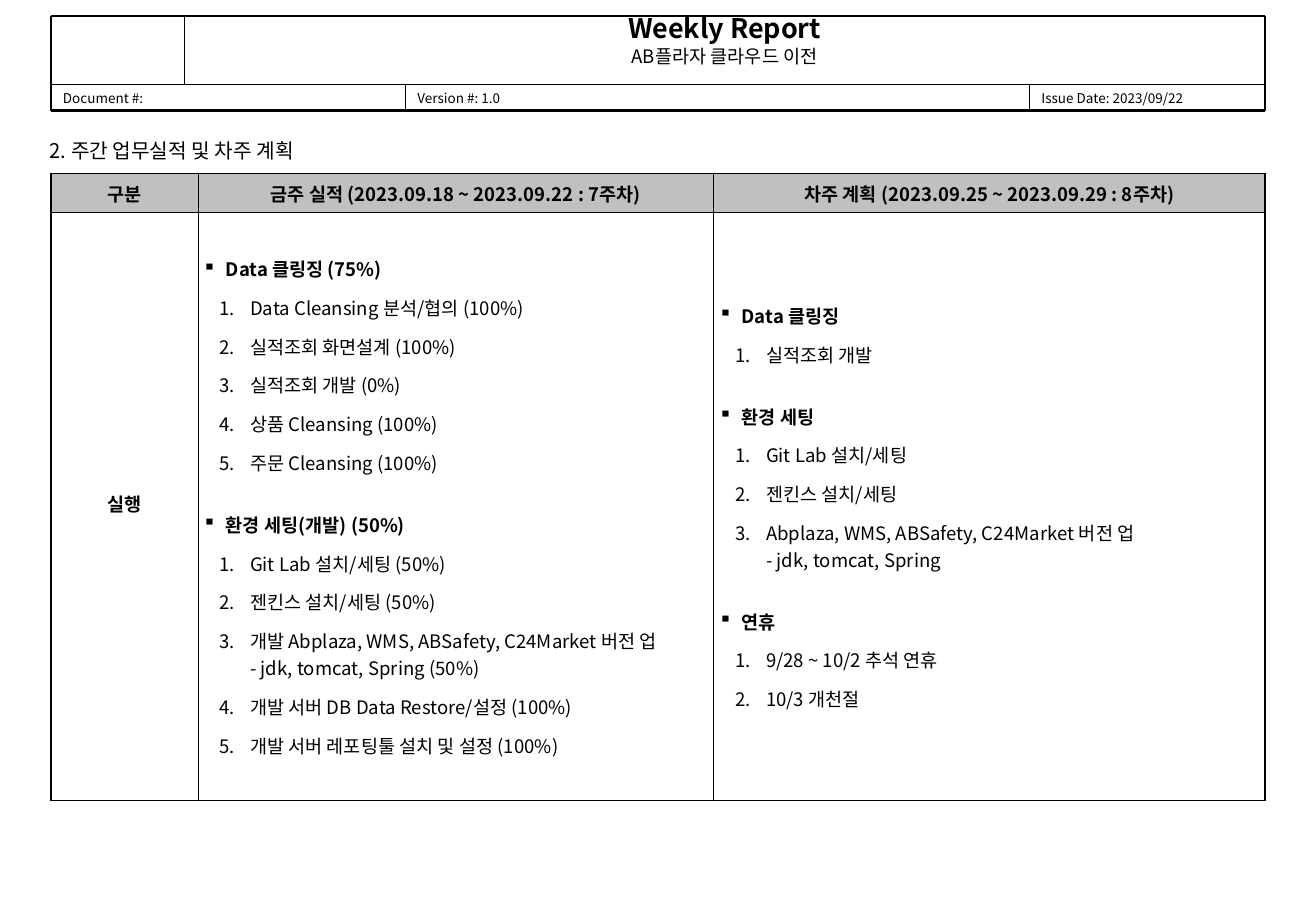
from lxml.etree import SubElement as Sub, Element as Elem
from pptx import Presentation
from pptx.dml.color import RGBColor
from pptx.enum.shapes import MSO_CONNECTOR as Conn
from pptx.enum.text import MSO_ANCHOR as Anchor, MSO_AUTO_SIZE as Auto, PP_ALIGN as Align
from pptx.oxml.ns import qn
from pptx.util import Inches, Pt

FONT = "Noto Sans CJK KR"
BLACK, GREY = "000000", "C0C0C0"
LEFT, TOP, RIGHT = 0.42, 0.13, 10.42
MID, BASE = 0.69, 0.91

HEADS = ["구분", "금주 실적 (2023.09.18 ~ 2023.09.22 : 7주차)",
         "차주 계획 (2023.09.25 ~ 2023.09.29 : 8주차)"]
DONE = [
    ("Data 클링징 (75%)", [
        "Data Cleansing 분석/협의 (100%)", "실적조회 화면설계 (100%)",
        "실적조회 개발 (0%)", "상품 Cleansing (100%)", "주문 Cleansing (100%)"]),
    ("환경 세팅(개발) (50%)", [
        "Git Lab 설치/세팅 (50%)", "젠킨스 설치/세팅 (50%)",
        "개발 Abplaza, WMS, ABSafety, C24Market 버전 업\v- jdk, tomcat, Spring (50%)",
        "개발 서버 DB Data Restore/설정 (100%)",
        "개발 서버 레포팅툴 설치 및 설정 (100%)"]),
]
PLAN = [
    ("Data 클링징", ["실적조회 개발"]),
    ("환경 세팅", [
        "Git Lab 설치/세팅", "젠킨스 설치/세팅",
        "Abplaza, WMS, ABSafety, C24Market 버전 업\v- jdk, tomcat, Spring"]),
    ("연휴", ["9/28 ~ 10/2 추석 연휴", "10/3 개천절"]),
]


def paint(code):
    return RGBColor.from_string(code)


def write(frame, text, size=11, bold=False, align=Align.LEFT, before=0, after=0,
          line=None):
    """Fill the first paragraph if it is free, else add one."""
    para = frame.paragraphs[0]
    if para.runs:
        para = frame.add_paragraph()
    para.text = text
    para.alignment = align
    para.space_before, para.space_after = Pt(before), Pt(after)
    if line:
        para.line_spacing = line
    for run in para.runs:
        font = run.font
        font.size, font.bold, font.name = Pt(size), bold, FONT
        font.color.rgb = paint(BLACK)
        Sub(run._r.get_or_add_rPr(), qn("a:ea"), typeface=FONT)
    for gap in para._p.findall(qn("a:br")):
        Sub(gap, qn("a:rPr"), sz=str(size * 100))
    return para


def setup(frame, x, y, anchor):
    """Set wrapping, insets and anchor of a text frame."""
    frame.word_wrap = True
    frame.auto_size = Auto.NONE
    frame.margin_left = frame.margin_right = Inches(x)
    frame.margin_top = frame.margin_bottom = Inches(y)
    frame.vertical_anchor = anchor
    return frame


def label(slide, x, y, w, h, inset=0, anchor=Anchor.MIDDLE):
    box = slide.shapes.add_textbox(Inches(x), Inches(y), Inches(w), Inches(h))
    return setup(box.text_frame, 0.1, inset, anchor)


def rule(slide, x1, y1, x2, y2, width):
    line = slide.shapes.add_connector(
        Conn.STRAIGHT, Inches(x1), Inches(y1), Inches(x2), Inches(y2))
    line.line.color.rgb = paint(BLACK)
    line.line.width = Pt(width)
    Sub(line._element.spPr, qn("a:effectLst"))


def bullet(para, indent, hang, tag, **mark):
    props = para._p.get_or_add_pPr()
    props.set("marL", str(Inches(indent)))
    props.set("indent", str(-Inches(hang)))
    tint = Sub(props, qn("a:buClr"))
    Sub(tint, qn("a:srgbClr"), val=BLACK)
    Sub(props, qn("a:" + tag), **mark)


def tasks(frame, groups):
    """Write bold group heads, each with its numbered items."""
    for num, (head, items) in enumerate(groups):
        para = write(frame, head, bold=True, before=19.8 if num else 0, after=1)
        bullet(para, 0.19, 0.19, "buChar", char="▪")
        for item in items:
            para = write(frame, item, before=6, after=1)
            para.level = 1
            bullet(para, 0.39, 0.25, "buAutoNum", type="arabicPeriod")


def border(cell, **widths):
    props = cell._tc.get_or_add_tcPr()
    for pos, side in enumerate("LRTB"):
        line = Elem(qn("a:ln" + side), w=str(Pt(widths.get(side, 0.45))))
        fill = Sub(line, qn("a:solidFill"))
        Sub(fill, qn("a:srgbClr"), val=BLACK)
        props.insert(pos, line)


def banner(slide):
    # Heading and document fields
    frame = label(slide, 1.52, TOP, 8.9, 0.56, 0.02, Anchor.TOP)
    write(frame, "Weekly Report", size=16, bold=True, align=Align.CENTER, line=0.8)
    write(frame, "AB플라자 클라우드 이전", align=Align.CENTER, before=2.8, line=0.8)
    for x, w, text in [(LEFT, 2.92, "Document #:"), (3.34, 5.14, "Version #: 1.0"),
                       (8.48, 1.94, "Issue Date: 2023/09/22")]:
        write(label(slide, x, MID, w, 0.23), text, size=8)

    # Thin dividers, then the thick frame
    rule(slide, 1.52, TOP, 1.52, MID, 0.25)
    rule(slide, LEFT, MID, RIGHT, MID, 0.25)
    for x in (3.34, 8.48):
        rule(slide, x, MID, x, BASE, 0.25)
    for x in (LEFT, RIGHT):
        rule(slide, x, TOP, x, BASE, 1.5)
    for y in (TOP, BASE):
        rule(slide, LEFT, y, RIGHT, y, 1.5)


def title(slide, text):
    box = slide.shapes.title
    box.left, box.top = Inches(0.31), Inches(1.09)
    box.width, box.height = Inches(3.07), Inches(0.34)
    write(setup(box.text_frame, 0.1, 0.05, Anchor.TOP), text, size=12)


def report(slide):
    grid = slide.shapes.add_table(
        2, 3, Inches(LEFT), Inches(1.43), Inches(10), Inches(5.16)).table
    grid.first_row = grid.horz_banding = False
    for col, width in zip(grid.columns, (1.21, 4.25, 4.54)):
        col.width = Inches(width)
    for row, height in zip(grid.rows, (0.32, 4.84)):
        row.height = Inches(height)

    # Cell fills, insets and borders
    for r in range(2):
        for c in range(3):
            cell = grid.cell(r, c)
            cell.vertical_anchor = Anchor.MIDDLE
            cell.margin_left = cell.margin_right = Inches(0.04 if r and c else 0.02)
            if r:
                cell.fill.background()
            else:
                cell.fill.solid()
                cell.fill.fore_color.rgb = paint(GREY)
            border(cell, L=0.45 if c else 0.75, T=0.45 if r else 0.75,
                   R=0.75 if c == 2 else 0.45)

    # Cell text
    for c, head in enumerate(HEADS):
        write(grid.cell(0, c).text_frame, head, bold=True, align=Align.CENTER)
    write(grid.cell(1, 0).text_frame, "실행", bold=True, align=Align.CENTER,
          line=Pt(12))
    tasks(grid.cell(1, 1).text_frame, DONE)
    tasks(grid.cell(1, 2).text_frame, PLAN)


def main():
    deck = Presentation()
    deck.slide_width, deck.slide_height = Inches(10.84), Inches(7.5)
    slide = deck.slides.add_slide(deck.slide_layouts[5])
    banner(slide)
    title(slide, "2. 주간 업무실적 및 차주 계획")
    report(slide)
    deck.save("out.pptx")


if __name__ == "__main__":
    main()
